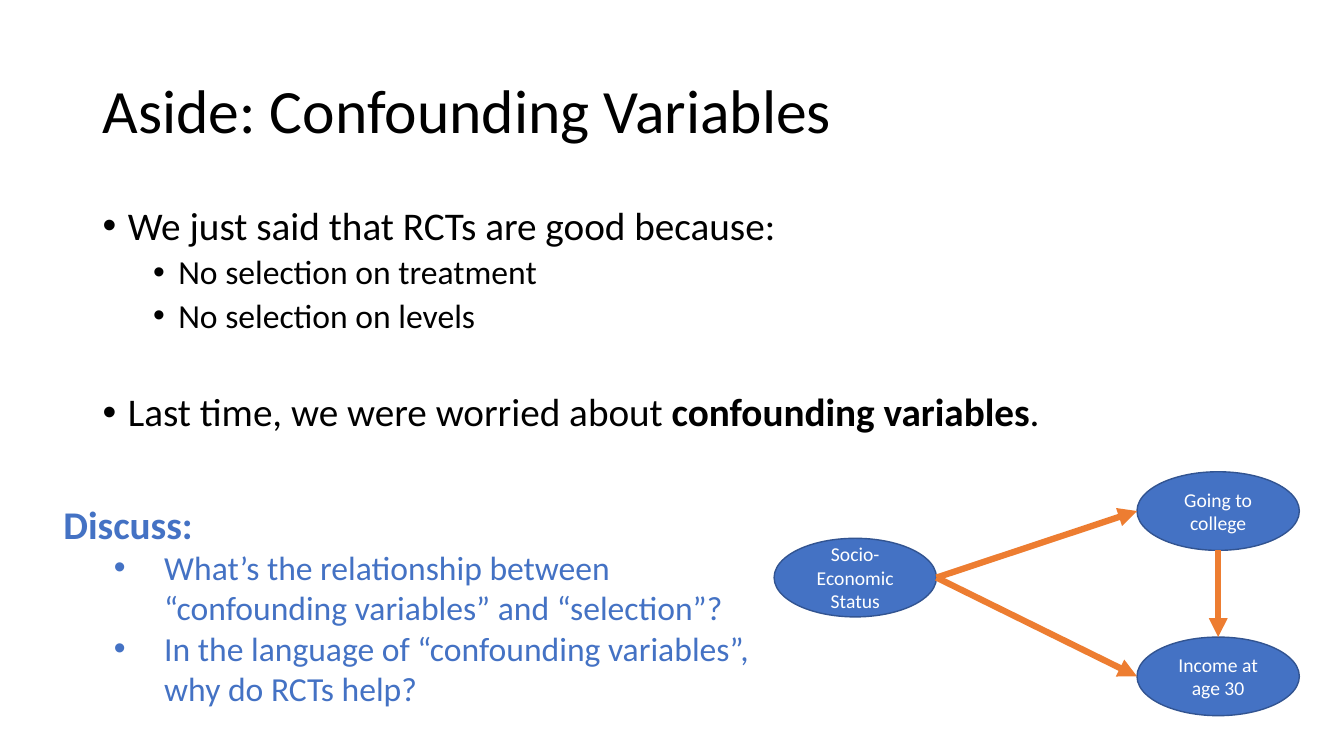
from pptx import Presentation
from pptx.dml.color import RGBColor
from pptx.enum.shapes import MSO_CONNECTOR as CXN, MSO_SHAPE as SHAPE
from pptx.enum.text import MSO_ANCHOR as ANCHOR, MSO_AUTO_SIZE as FIT, PP_ALIGN as ALIGN
from pptx.oxml.ns import qn
from pptx.util import Inches, Pt
from lxml.etree import SubElement

BLACK = RGBColor(0x00, 0x00, 0x00)
WHITE = RGBColor(0xFF, 0xFF, 0xFF)
BLUE = RGBColor(0x44, 0x72, 0xC4)
NAVY = RGBColor(0x32, 0x54, 0x91)
ORANGE = RGBColor(0xED, 0x7D, 0x31)

WIDTH, HEIGHT = Inches(13.33), Inches(7.5)
COL, ROW = WIDTH / 100, HEIGHT / 100
NODE_W, NODE_H = 12.08, 10.4
OUTCOME_X = 84.6

TITLE = {"size": Pt(44), "color": BLACK}
POINT = {"size": Pt(28), "color": BLACK}
SUBPOINT = {"size": Pt(24), "color": BLACK}
HEADING = {"size": Pt(28), "color": BLUE, "bold": True}
QUESTION = {"size": Pt(24), "color": BLUE}
NODE = {"size": Pt(14), "color": WHITE}

TIGHT = {"line_spacing": 0.9}
SUBTIGHT = {"line_spacing": 0.9, "space_before": Pt(5), "level": 1}
CENTERED = {"alignment": ALIGN.CENTER}


def grid(x, y, w, h):
    return round(x * COL), round(y * ROW), round(w * COL), round(h * ROW)


def set_all(obj, values):
    for name, value in values.items():
        setattr(obj, name, value)


def add_run(p, text, style):
    r = p.add_run()
    r.text = text
    font = {"name": "Calibri", "bold": False, **style}
    r.font.color.rgb = font.pop("color")
    set_all(r.font, font)


def add_bullet(p, left, hang):
    pPr = p._p.get_or_add_pPr()
    pPr.set("marL", str(Inches(left)))
    pPr.set("indent", str(-Inches(hang)))
    SubElement(pPr, qn("a:buFont"), typeface="Arial")
    SubElement(pPr, qn("a:buChar"), char="•")


def fill_text(tf, paragraphs):
    for i, (runs, indent, layout) in enumerate(paragraphs):
        p = tf.add_paragraph() if i else tf.paragraphs[0]
        if indent:
            add_bullet(p, *indent)
        set_all(p, layout)
        for text, style in runs:
            add_run(p, text, style)


def add_title(slide, text, box):
    sp = slide.shapes.title
    set_all(sp, dict(zip(("left", "top", "width", "height"), grid(*box))))
    set_all(sp.text_frame, {"word_wrap": True, "auto_size": FIT.NONE,
                            "vertical_anchor": ANCHOR.MIDDLE})
    fill_text(sp.text_frame, [([(text, TITLE)], None, {**TIGHT, "alignment": ALIGN.LEFT})])


def add_text(slide, box, paragraphs):
    tf = slide.shapes.add_textbox(*grid(*box)).text_frame
    tf.word_wrap = True
    fill_text(tf, paragraphs)


def add_node(slide, text, x, y):
    sp = slide.shapes.add_shape(SHAPE.OVAL, *grid(x, y, NODE_W, NODE_H))
    sp.shadow.inherit = False
    sp.fill.solid()
    sp.fill.fore_color.rgb = BLUE
    sp.line.color.rgb = NAVY
    sp.line.width = Pt(1)
    set_all(sp.text_frame, {"word_wrap": True, "vertical_anchor": ANCHOR.MIDDLE})
    fill_text(sp.text_frame, [([(text, NODE)], None, CENTERED)])
    return sp


def side(sp, across, down):
    return round(sp.left + sp.width * across), round(sp.top + sp.height * down)


def add_arrow(slide, start, end):
    line = slide.shapes.add_connector(CXN.STRAIGHT, *start, *end)
    line.line.color.rgb = ORANGE
    line.line.width = Pt(4.5)
    SubElement(line.line._get_or_add_ln(), qn("a:tailEnd"), type="triangle")
    SubElement(line._element.spPr, qn("a:effectLst"))


def main():
    prs = Presentation()
    prs.slide_width, prs.slide_height = WIDTH, HEIGHT
    slide = prs.slides.add_slide(prs.slide_layouts[5])

    add_title(slide, "Aside: Confounding Variables", (6.9, 5.33, 86.25, 19.33))

    point, subpoint, question = (0.25, 0.25), (0.75, 0.25), (1, 0.5)
    add_text(slide, (6.9, 26.67, 86.25, 63.47), [
        ([("We just said that RCTs are good because:", POINT)], point, TIGHT),
        ([("No selection on treatment", SUBPOINT)], subpoint, SUBTIGHT),
        ([("No selection on levels", SUBPOINT)], subpoint, SUBTIGHT),
        ([("Last time, we were worried about ", POINT),
          ("confounding variables", {**POINT, "bold": True}),
          (".", POINT)], point, {**TIGHT, "space_before": Pt(41)}),
    ])

    college = add_node(slide, "Going to college", OUTCOME_X, 62.4)
    income = add_node(slide, "Income at age 30", OUTCOME_X, 84.27)
    status = add_node(slide, "Socio-Economic Status", 57.6, 71.2)
    add_arrow(slide, side(college, 0.5, 1), side(income, 0.5, 0))
    for outcome in (college, income):
        add_arrow(slide, side(status, 1, 0.5), side(outcome, 0, 0.5))

    add_text(slide, (3.98, 65.47, 53.63, 29.2), [
        ([("Discuss:", HEADING)], None, {}),
        ([("What’s the relationship between “confounding variables” and “selection”?",
           QUESTION)], question, {"level": 1}),
        ([("In the language of “confounding variables”, why do RCTs help?",
           QUESTION)], question, {"level": 1}),
    ])

    prs.save("out.pptx")


if __name__ == "__main__":
    main()
